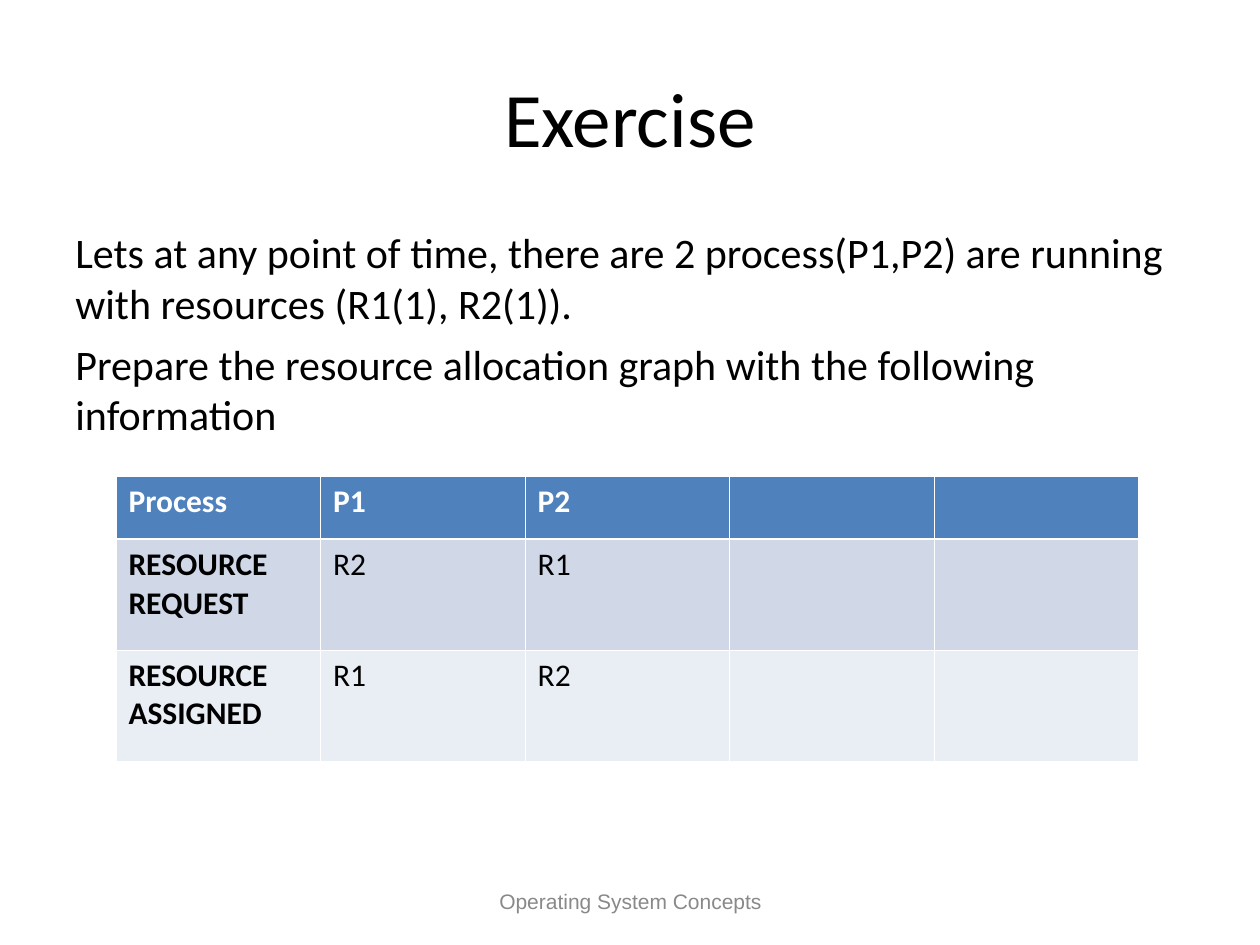
from lxml.etree import SubElement
from pptx import Presentation
from pptx.dml.color import RGBColor
from pptx.enum.text import MSO_ANCHOR, PP_ALIGN
from pptx.oxml.ns import qn
from pptx.util import Inches, Pt

BLACK = RGBColor(0x00, 0x00, 0x00)
WHITE = RGBColor(0xFF, 0xFF, 0xFF)
FOOTER_GRAY = RGBColor(0x89, 0x89, 0x89)
HEADER_BLUE = RGBColor(0x4F, 0x81, 0xBD)
ROW_FILLS = [HEADER_BLUE, RGBColor(0xD0, 0xD8, 0xE8), RGBColor(0xE9, 0xED, 0xF4)]

THIN, THICK = Pt(0.45), Pt(1.47)
ROW_HEIGHTS = [0.5, 0.88, 0.88]
COLUMN_COUNT = 5
TABLE_WIDTH = 8.12

QUESTION = [
    "Lets at any point of time, there are 2 process(P1,P2) are running "
    "with resources (R1(1), R2(1)).",
    "Prepare the resource allocation graph with the following information",
]
# Each cell is a list of paragraphs; the columns left over stay empty.
ALLOCATION = [
    [["Process"], ["P1"], ["P2"]],
    [["RESOURCE REQUEST"], ["R2"], ["R1"]],
    [["RESOURCE", "ASSIGNED"], ["R1"], ["R2"]],
]


def write_paragraphs(frame, lines, size, color, font="Calibri", bold=False,
                     align=PP_ALIGN.LEFT, gap=0):
    for index, line in enumerate(lines):
        paragraph = frame.add_paragraph() if index else frame.paragraphs[0]
        paragraph.alignment = align
        if index and gap:
            paragraph.space_before = Pt(gap)
        run = paragraph.add_run()
        run.text = line
        run.font.name = font
        run.font.size = Pt(size)
        run.font.bold = bold
        run.font.color.rgb = color


def add_text(slide, left, top, width, height, lines, size, color,
             anchor=MSO_ANCHOR.MIDDLE, **style):
    box = slide.shapes.add_textbox(
        Inches(left), Inches(top), Inches(width), Inches(height))
    frame = box.text_frame
    frame.word_wrap = True
    frame.vertical_anchor = anchor
    write_paragraphs(frame, lines, size, color, **style)


def set_borders(cell, top, bottom):
    """Draw white borders: thin at the sides, given widths above and below."""
    properties = cell._tc.get_or_add_tcPr()
    widths = {"a:lnL": THIN, "a:lnR": THIN, "a:lnT": top, "a:lnB": bottom}
    for tag, width in widths.items():
        line = SubElement(properties, qn(tag), w=str(int(width)))
        fill = SubElement(line, qn("a:solidFill"))
        SubElement(fill, qn("a:srgbClr"), val=str(WHITE))


def add_allocation_table(slide):
    table = slide.shapes.add_table(
        len(ALLOCATION), COLUMN_COUNT, Inches(0.92), Inches(3.78),
        Inches(TABLE_WIDTH), Inches(sum(ROW_HEIGHTS))).table
    for column in table.columns:
        column.width = Inches(TABLE_WIDTH / COLUMN_COUNT)
    for r, texts in enumerate(ALLOCATION):
        table.rows[r].height = Inches(ROW_HEIGHTS[r])
        for c in range(COLUMN_COUNT):
            cell = table.cell(r, c)
            set_borders(cell, top=THICK if r == 1 else THIN,
                        bottom=THICK if r == 0 else THIN)
            cell.fill.solid()
            cell.fill.fore_color.rgb = ROW_FILLS[r]
            if c < len(texts):
                write_paragraphs(cell.text_frame, texts[c], 18,
                                 WHITE if r == 0 else BLACK,
                                 bold=r == 0 or c == 0)


def main():
    presentation = Presentation()
    presentation.slide_width = Inches(10)
    presentation.slide_height = Inches(7.5)
    slide = presentation.slides.add_slide(presentation.slide_layouts[6])

    add_text(slide, 0.5, 0.3, 9, 1.25, ["Exercise"], 44, BLACK,
             align=PP_ALIGN.CENTER)
    add_text(slide, 0.5, 1.75, 9, 4.95, QUESTION, 24, BLACK,
             anchor=MSO_ANCHOR.TOP, gap=6)
    add_text(slide, 3.42, 6.95, 3.17, 0.4, ["Operating System Concepts"], 12,
             FOOTER_GRAY, font="Arial", align=PP_ALIGN.CENTER)
    add_allocation_table(slide)

    presentation.save("out.pptx")


if __name__ == "__main__":
    main()
